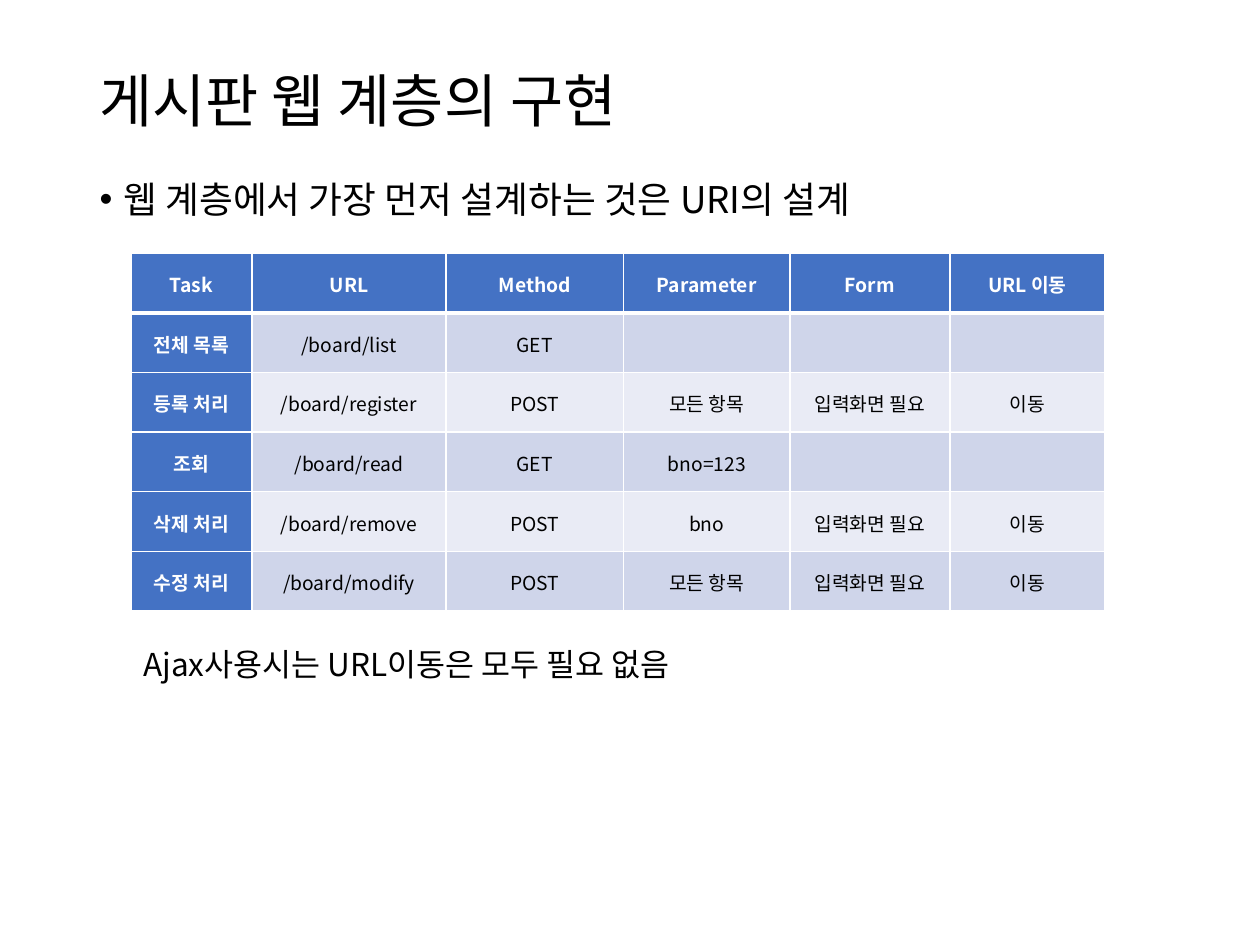
from lxml import etree
from pptx import Presentation
from pptx.dml.color import RGBColor
from pptx.enum.text import MSO_ANCHOR, MSO_AUTO_SIZE, PP_ALIGN
from pptx.oxml.ns import qn
from pptx.util import Inches, Pt

FONT = "Noto Sans CJK KR"
BLACK = RGBColor(0x00, 0x00, 0x00)
WHITE = RGBColor(0xFF, 0xFF, 0xFF)
BLUE = RGBColor(0x44, 0x72, 0xC4)
BANDS = [RGBColor(0xE9, 0xEB, 0xF5), RGBColor(0xCF, 0xD5, 0xEA)]
LEFT, CENTER = PP_ALIGN.LEFT, PP_ALIGN.CENTER
TOP, MIDDLE = MSO_ANCHOR.TOP, MSO_ANCHOR.MIDDLE
NO_FIT, GROW = MSO_AUTO_SIZE.NONE, MSO_AUTO_SIZE.SHAPE_TO_FIT_TEXT


def add_run(para, text, size, color=BLACK, bold=False):
    span = para.add_run()
    span.text = text
    span.font.name = FONT
    span.font.size = Pt(size)
    span.font.bold = bold
    span.font.color.rgb = color
    east_asian = etree.SubElement(span.font._element, qn("a:ea"))
    east_asian.set("typeface", FONT)


def add_border(cell, side, points):
    line = etree.SubElement(cell._tc.get_or_add_tcPr(), qn(f"a:ln{side}"))
    line.set("w", str(Pt(points)))
    fill = etree.SubElement(line, qn("a:solidFill"))
    etree.SubElement(fill, qn("a:srgbClr")).set("val", str(WHITE))


deck = Presentation()
deck.slide_width, deck.slide_height = Inches(10), Inches(7.5)
page = deck.slides.add_slide(deck.slide_layouts[1])

# Title and bullet
title, body = page.placeholders
title.left, title.top = Inches(0.69), Inches(0.4)
title.width, title.height = Inches(8.62), Inches(0.85)
body.left, body.top = Inches(0.69), Inches(1.39)
body.width, body.height = Inches(8.62), Inches(5.37)
for box, anchor, text, size in [
    (title, MIDDLE, "게시판 웹 계층의 구현", 33),
    (body, TOP, "웹 계층에서 가장 먼저 설계하는 것은 URI의 설계", 21),
]:
    box.text_frame.auto_size = NO_FIT
    box.text_frame.vertical_anchor = anchor
    para = box.text_frame.paragraphs[0]
    para.alignment = LEFT
    para.line_spacing = 0.9
    add_run(para, text, size)

bullet = body.text_frame.paragraphs[0]
bullet.space_before = Pt(7.5)
bullet_format = bullet._p.get_or_add_pPr()
bullet_format.set("marL", str(Inches(0.19)))
bullet_format.set("indent", str(Inches(-0.19)))
etree.SubElement(bullet_format, qn("a:buFont")).set("typeface", "Arial")
etree.SubElement(bullet_format, qn("a:buChar")).set("char", "•")

# URI table
ROWS = [
    ["Task", "URL", "Method", "Parameter", "Form", "URL 이동"],
    ["전체 목록", "/board/list", "GET", "", "", ""],
    ["등록 처리", "/board/register", "POST", "모든 항목", "입력화면 필요", "이동"],
    ["조회", "/board/read", "GET", "bno=123", "", ""],
    ["삭제 처리", "/board/remove", "POST", "bno", "입력화면 필요", "이동"],
    ["수정 처리", "/board/modify", "POST", "모든 항목", "입력화면 필요", "이동"],
]
COLUMN_WIDTHS = [0.96, 1.54, 1.41, 1.32, 1.27, 1.23]
table = page.shapes.add_table(
    len(ROWS), len(COLUMN_WIDTHS),
    Inches(1.04), Inches(2.01), Inches(7.72), Inches(2.84),
).table
table.first_col = True
for column, width in zip(table.columns, COLUMN_WIDTHS):
    column.width = Inches(width)

for row_index, row in enumerate(ROWS):
    for column_index, text in enumerate(row):
        cell = table.cell(row_index, column_index)
        is_heading = row_index == 0 or column_index == 0
        cell.vertical_anchor = MIDDLE
        cell.margin_left = cell.margin_right = Inches(0.07)
        cell.margin_top = cell.margin_bottom = 0
        for side in "LRTB":
            header_edge = (row_index, side) in [(0, "B"), (1, "T")]
            add_border(cell, side, 3 if header_edge else 1)
        cell.fill.solid()
        cell.fill.fore_color.rgb = BLUE if is_heading else BANDS[row_index % 2]
        if text:
            para = cell.text_frame.paragraphs[0]
            para.alignment = CENTER
            para.line_spacing = 1.07
            add_run(para, text, 11, WHITE if is_heading else BLACK, is_heading)

# Remark below the table
remark = page.shapes.add_textbox(Inches(1.04), Inches(5.07), Inches(4.77), Inches(0.4))
remark.text_frame.word_wrap = False
remark.text_frame.auto_size = GROW
add_run(remark.text_frame.paragraphs[0], "Ajax사용시는 URL이동은 모두 필요 없음", 18)

deck.save("out.pptx")
